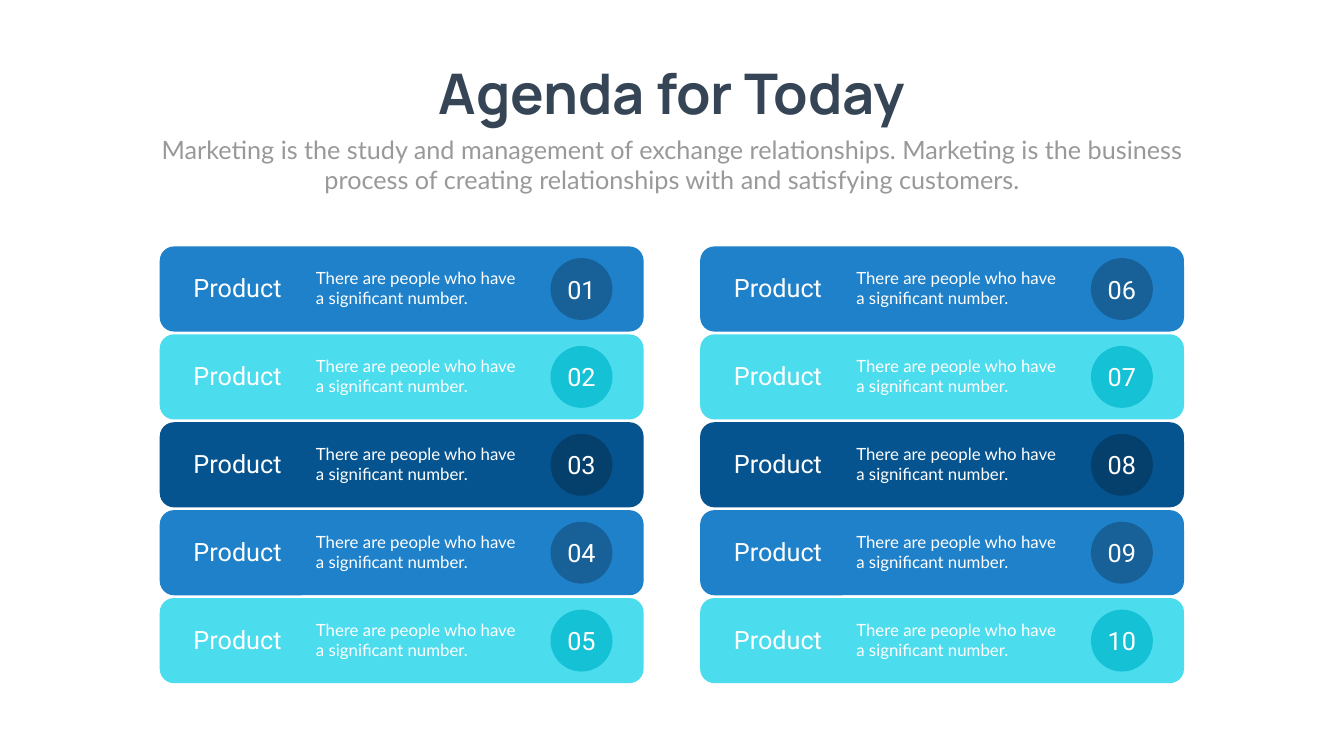
from pptx import Presentation
from pptx.dml.color import RGBColor
from pptx.enum.shapes import MSO_SHAPE as Shape
from pptx.enum.text import MSO_ANCHOR as Anchor, MSO_AUTO_SIZE as AutoSize, PP_ALIGN as Align
from pptx.util import Cm, Pt

SLATE = RGBColor(0x36, 0x45, 0x56)
GRAY = RGBColor(0x99, 0x99, 0x99)
WHITE = RGBColor(0xFF, 0xFF, 0xFF)
BLUE = RGBColor(0x1E, 0x81, 0xCA)
BLUE_BADGE = RGBColor(0x17, 0x61, 0x98)
CYAN = RGBColor(0x4B, 0xDC, 0xED)
CYAN_BADGE = RGBColor(0x15, 0xC1, 0xD5)
NAVY = RGBColor(0x06, 0x54, 0x8F)
NAVY_BADGE = RGBColor(0x05, 0x3F, 0x6B)

# Card and badge colours, repeated down each column
PALETTE = [(BLUE, BLUE_BADGE), (CYAN, CYAN_BADGE), (NAVY, NAVY_BADGE)]

COLUMNS, ROWS = 2, 5
GRID_LEFT, GRID_TOP = 8.05, 12.42
COLUMN_PITCH, ROW_PITCH = 27.23, 4.43
CARD_WIDTH, CARD_HEIGHT = 24.38, 4.29
BADGE_SIZE = 3.12

INTRO = ("Marketing is the study and management of exchange relationships. "
         "Marketing is the business process of creating relationships with "
         "and satisfying customers.")
DESCRIPTION = "There are people who have a significant number."


def write(frame, text, size, font_name, color, align=Align.LEFT, bold=False):
    frame.text = text
    paragraph = frame.paragraphs[0]
    paragraph.alignment = align
    font = paragraph.runs[0].font
    font.size, font.name, font.bold = Pt(size), font_name, bold
    font.color.rgb = color


def add_text(shapes, box, *style, wrap=True, **options):
    frame = shapes.add_textbox(*map(Cm, box)).text_frame
    frame.word_wrap = wrap
    frame.auto_size = AutoSize.SHAPE_TO_FIT_TEXT
    write(frame, *style, **options)


def add_filled_shape(shapes, kind, box, color):
    shape = shapes.add_shape(kind, *map(Cm, box))
    shape.shadow.inherit = False
    shape.fill.solid()
    shape.fill.fore_color.rgb = color
    shape.line.fill.background()
    return shape


def add_agenda_card(shapes, left, top, number, card_color, badge_color):
    add_filled_shape(shapes, Shape.ROUNDED_RECTANGLE,
                     (left, top, CARD_WIDTH, CARD_HEIGHT), card_color)
    add_text(shapes, (left + 1.45, top + 1.2, 8.66, 1.8),
             "Product", 36, "Roboto", WHITE)
    add_text(shapes, (left + 7.62, top + 0.95, 11.1, 2.31),
             DESCRIPTION, 24, "Lato", WHITE)
    badge_top = top + (CARD_HEIGHT - BADGE_SIZE) / 2
    badge = add_filled_shape(shapes, Shape.OVAL,
                             (left + 19.69, badge_top, BADGE_SIZE, BADGE_SIZE), badge_color)
    badge.text_frame.vertical_anchor = Anchor.MIDDLE
    write(badge.text_frame, f"{number:02}", 36, "Roboto", WHITE, Align.CENTER)


def add_agenda_column(slide, column):
    shapes = slide.shapes.add_group_shape().shapes
    for row in range(ROWS):
        add_agenda_card(shapes, GRID_LEFT + column * COLUMN_PITCH,
                        GRID_TOP + row * ROW_PITCH,
                        column * ROWS + row + 1, *PALETTE[row % len(PALETTE)])


def main():
    deck = Presentation()
    deck.slide_width, deck.slide_height = Cm(67.72), Cm(38.1)
    slide = deck.slides.add_slide(deck.slide_layouts[6])
    add_text(slide.shapes, (20.62, 2.84, 26.47, 3.68), "Agenda for Today",
             80, "Manrope", SLATE, Align.CENTER, bold=True, wrap=False)
    add_text(slide.shapes, (7.42, 6.63, 52.88, 3.33), INTRO,
             36, "Lato", GRAY, Align.CENTER)
    for column in range(COLUMNS):
        add_agenda_column(slide, column)
    deck.save("out.pptx")


if __name__ == "__main__":
    main()
